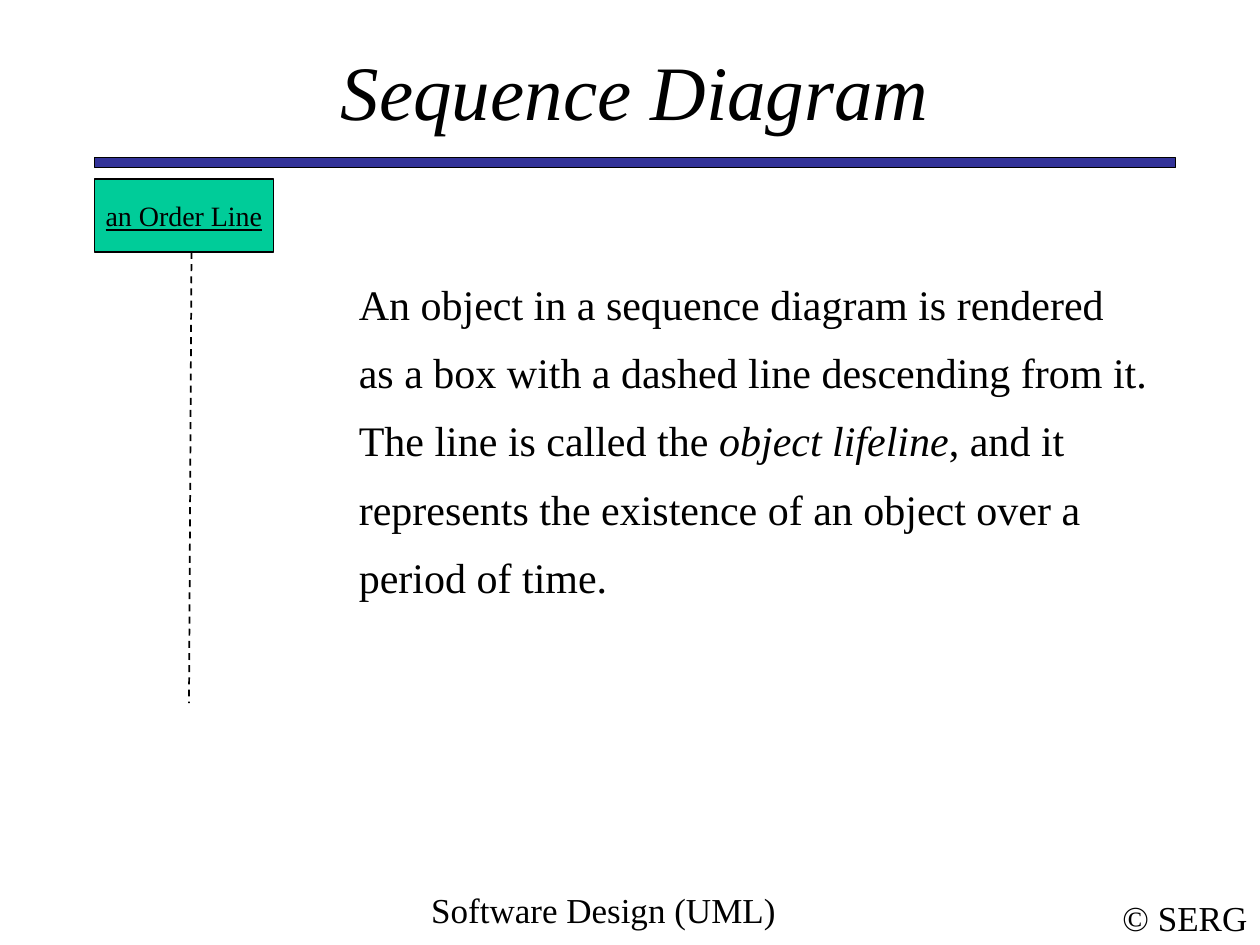
from lxml.etree import SubElement
from pptx import Presentation
from pptx.dml.color import RGBColor
from pptx.enum.dml import MSO_LINE
from pptx.enum.shapes import MSO_CONNECTOR, MSO_SHAPE
from pptx.enum.text import MSO_ANCHOR, MSO_AUTO_SIZE, PP_ALIGN
from pptx.oxml.ns import qn
from pptx.util import Inches, Pt

BLACK = "000000"
BLUE = "333399"
GREEN = "00CC99"
EXPLANATION = [
    [("An object in a sequence diagram is rendered", False)],
    [("as a box with a dashed line descending from it.", False)],
    [("The line is called the ", False), ("object lifeline", True), (", and it", False)],
    [("represents the existence of an object over a", False)],
    [("period of time.", False)],
]


def color(value):
    return RGBColor.from_string(value)


def apply_format(target, values):
    for name, value in values.items():
        setattr(target, name, value)


def format_font(font, size, **values):
    apply_format(font, {"name": "Times New Roman", "size": Pt(size), **values})
    font.color.rgb = color(BLACK)


def format_frame(frame, wrap=False, anchor=MSO_ANCHOR.MIDDLE):
    apply_format(frame, {
        "word_wrap": wrap,
        "vertical_anchor": anchor,
        "auto_size": MSO_AUTO_SIZE.NONE,
    })


def write_line(shape, text, size, **values):
    paragraph = shape.text_frame.paragraphs[0]
    paragraph.alignment = PP_ALIGN.CENTER
    run = paragraph.add_run()
    run.text = text
    format_font(run.font, size, **values)


def add_title(slide, left, top, width, height):
    title = slide.shapes.title
    apply_format(title, {"left": left, "top": top, "width": width, "height": height})
    format_frame(title.text_frame, wrap=True)
    write_line(title, "Sequence Diagram", 44, italic=True)


def add_rectangle(slide, box, fill, line_width):
    rectangle = slide.shapes.add_shape(MSO_SHAPE.RECTANGLE, *box)
    rectangle.shadow.inherit = False
    rectangle.fill.solid()
    rectangle.fill.fore_color.rgb = color(fill)
    rectangle.line.color.rgb = color(BLACK)
    rectangle.line.width = Pt(line_width)
    return rectangle


def add_footer(slide, box, text, wrap, anchor):
    footer = slide.shapes.add_textbox(*box)
    format_frame(footer.text_frame, wrap, anchor)
    write_line(footer, text, 20)


def add_explanation(slide, left, top, width, height):
    frame = slide.shapes.add_textbox(left, top, width, height).text_frame
    format_frame(frame)
    for index, parts in enumerate(EXPLANATION):
        paragraph = frame.add_paragraph() if index else frame.paragraphs[0]
        paragraph.line_spacing = 0.8
        paragraph.space_before = Pt(16 if index else 0)
        for text, italic in parts:
            run = paragraph.add_run()
            run.text = text
            format_font(run.font, 24, italic=italic)


def add_lifeline(slide, left, top, width, height):
    head_height = Inches(0.58)
    head = add_rectangle(slide, (left, top, width, head_height), GREEN, 1)
    format_frame(head.text_frame)
    write_line(head, "an Order Line", 16, underline=True)
    lifeline = slide.shapes.add_connector(
        MSO_CONNECTOR.STRAIGHT,
        left + Inches(0.77), top + head_height,
        left + Inches(0.75), top + height,
    )
    lifeline.line.color.rgb = color(BLACK)
    lifeline.line.width = Pt(1)
    lifeline.line.dash_style = MSO_LINE.DASH
    SubElement(lifeline._element.spPr, qn("a:effectLst"))


def main():
    presentation = Presentation()
    presentation.slide_width = Inches(10)
    presentation.slide_height = Inches(7.5)
    slide = presentation.slides.add_slide(presentation.slide_layouts[5])
    left, width = Inches(0.75), Inches(8.58)

    add_footer(slide, (Inches(8.81), Inches(7.06), Inches(1.19), Inches(0.44)),
               "© SERG", False, MSO_ANCHOR.MIDDLE)
    add_rectangle(slide, (left, Inches(1.25), width, Inches(0.08)), BLUE, 0.75)
    add_footer(slide, (Inches(2.58), Inches(7), Inches(4.42), Inches(0.5)),
               "Software Design (UML)", True, MSO_ANCHOR.TOP)
    add_title(slide, left, Inches(0.42), width, Inches(0.58))
    add_explanation(slide, Inches(2.75), Inches(2.26), Inches(6.46), Inches(2.54))
    add_lifeline(slide, left, Inches(1.42), Inches(1.42), Inches(4.16))
    presentation.save("out.pptx")


if __name__ == "__main__":
    main()
